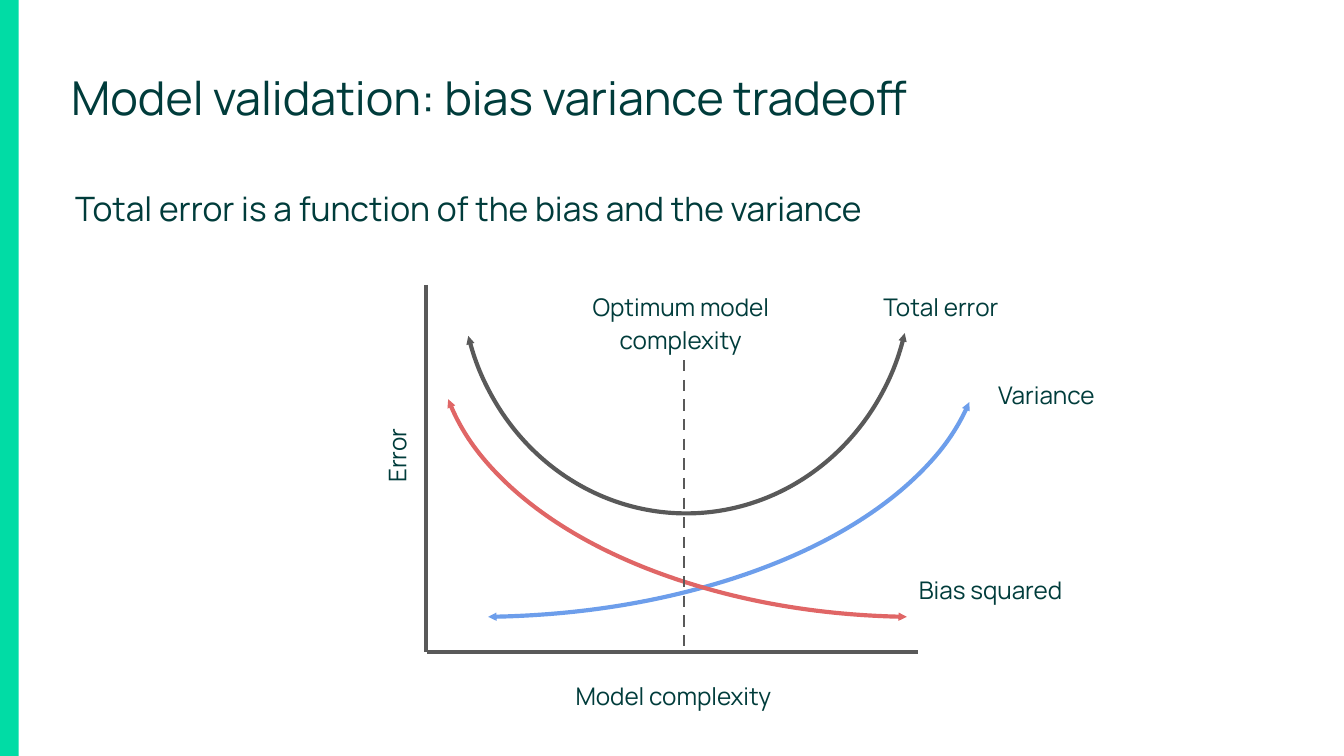
from lxml import etree
from pptx import Presentation
from pptx.dml.color import RGBColor
from pptx.enum.dml import MSO_LINE
from pptx.enum.shapes import MSO_CONNECTOR, MSO_SHAPE
from pptx.enum.text import MSO_ANCHOR, MSO_AUTO_SIZE, PP_ALIGN
from pptx.oxml.ns import qn
from pptx.util import Inches, Pt

GREEN = RGBColor(0x01, 0xDC, 0xA5)
TEAL = RGBColor(0x00, 0x3C, 0x3B)
GRAY = RGBColor(0x59, 0x59, 0x59)
BLUE = RGBColor(0x6D, 0x9E, 0xEB)
RED = RGBColor(0xE0, 0x66, 0x66)

# Widescreen page, 16 to 9
deck = Presentation()
deck.slide_width = Inches(10)
deck.slide_height = Inches(10) * 9 // 16
page = deck.slides.add_slide(deck.slide_layouts[1])


def write(box, text, size, align, spacing, inset, after=0):
    frame = box.text_frame
    frame.word_wrap = True
    frame.auto_size = MSO_AUTO_SIZE.NONE
    frame.vertical_anchor = MSO_ANCHOR.TOP
    frame.margin_left = frame.margin_right = Inches(0.1)
    frame.margin_top = frame.margin_bottom = Inches(inset)
    para = frame.paragraphs[0]
    para.alignment = align
    para.line_spacing = spacing
    para.space_before = Pt(0)
    para.space_after = Pt(after)
    span = para.add_run()
    span.text = text
    span.font.name = "Manrope"
    span.font.size = Pt(size)
    span.font.color.rgb = TEAL
    return para


# Green band on the left edge
band = page.shapes.add_shape(
    MSO_SHAPE.RECTANGLE, Inches(0), Inches(0), Inches(0.14), deck.slide_height)
band.shadow.inherit = False
band.fill.solid()
band.fill.fore_color.rgb = GREEN
band.line.fill.background()

# Title and statement
title, body = page.placeholders
title.left, title.top, title.width, title.height = map(Inches, (0.43, 0.51, 6.81, 0.51))
write(title, "Model validation: bias variance tradeoff", 25, PP_ALIGN.LEFT, 0.9, 0.05)

body.left, body.top, body.width, body.height = map(Inches, (0.46, 1.3, 9.01, 3.91))
para = write(body, "Total error is a function of the bias and the variance",
             18, PP_ALIGN.LEFT, 1.15, 0.05)
props = para._p.get_or_add_pPr()
props.set("marL", "0")
props.set("indent", "0")
etree.SubElement(props, qn("a:buNone"))

# Error curves: arcs turned upside down, with arrowheads at both ends
QUARTER = (163.54, 211.66)
curves = [
    ((3.43, 0.29, 3.35, 3.53), (117.2, 207.24), GRAY, True),
    ((-0.23, 0.46, 7.54, 4.13), QUARTER, BLUE, True),
    ((3.25, 0.46, 7.18, 4.13), QUARTER, RED, False),
]
for place, angles, color, mirrored in curves:
    curve = page.shapes.add_shape(MSO_SHAPE.ARC, *map(Inches, place))
    curve.shadow.inherit = False
    curve.adjustments[0], curve.adjustments[1] = angles
    curve.rotation = 180
    if mirrored:
        curve._element.spPr.find(qn("a:xfrm")).set("flipH", "1")
    curve.fill.background()
    curve.line.color.rgb = color
    curve.line.width = Pt(2.25)
    for end in ("a:headEnd", "a:tailEnd"):
        etree.SubElement(curve.line._get_or_add_ln(), qn(end),
                         type="triangle", w="sm", len="sm")

# Axes and the dashed optimum line
BASE = 4.85
lines = [
    ((3.17, 2.12, 3.17, BASE), 2.25, None),
    ((6.83, BASE, 3.18, BASE), 2.25, None),
    ((5.09, 2.68, 5.09, BASE), 1.5, MSO_LINE.DASH),
]
for ends, width, dash in lines:
    line = page.shapes.add_connector(MSO_CONNECTOR.STRAIGHT, *map(Inches, ends))
    line.line.color.rgb = GRAY
    line.line.width = Pt(width)
    if dash:
        line.line.dash_style = dash
    etree.SubElement(line._element.spPr, qn("a:effectLst"))

# Axis and curve labels
labels = [
    ("Model complexity", (3.1, 4.94, 3.82, 0.42), 0),
    ("Error", (2.15, 3.18, 1.54, 0.42), 270),
    ("Total error", (5.09, 2.04, 3.82, 0.42), 0),
    ("Optimum model complexity", (4.11, 2.04, 1.91, 0.67), 0),
    ("Variance", (6.83, 2.7, 1.91, 0.42), 0),
    ("Bias squared", (6.67, 4.15, 1.4, 0.42), 0),
]
for text, place, turn in labels:
    label = page.shapes.add_textbox(*map(Inches, place))
    label.rotation = turn
    write(label, text, 13, PP_ALIGN.CENTER, 1.15, 0.1, after=12)

deck.save("out.pptx")
